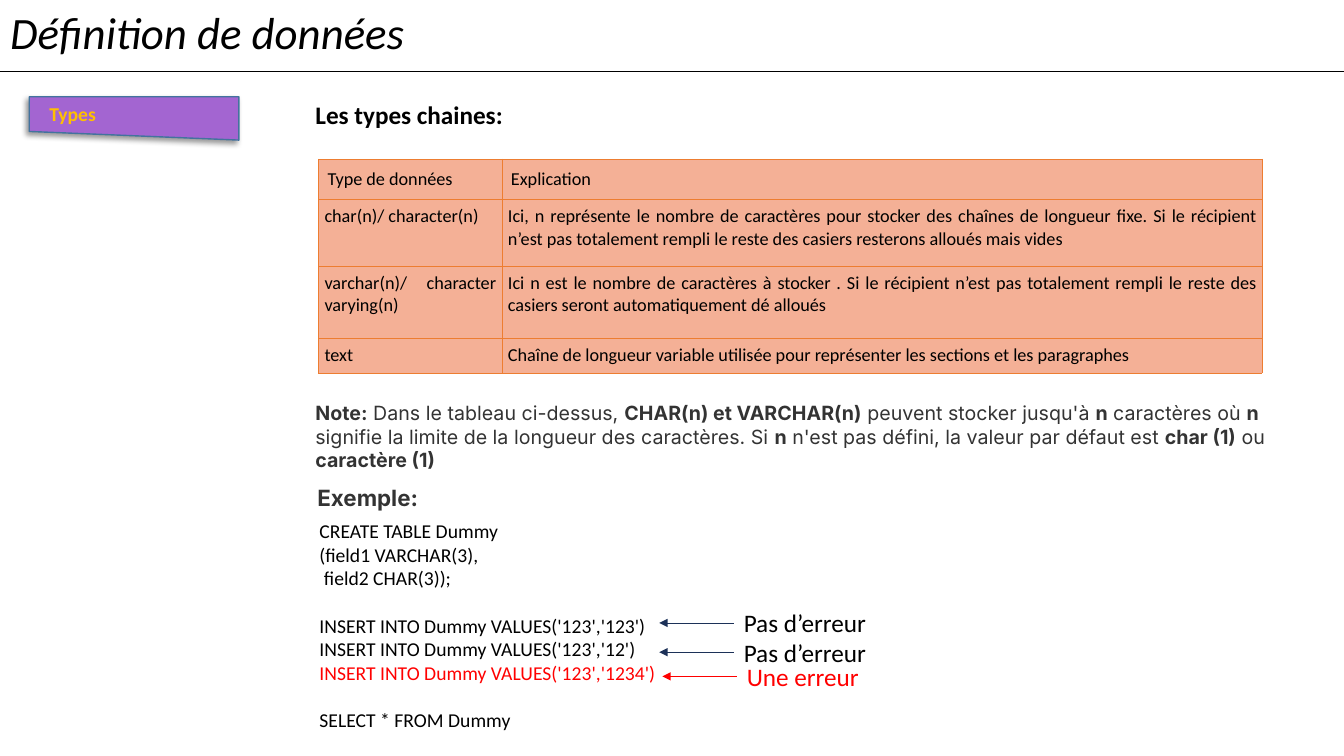
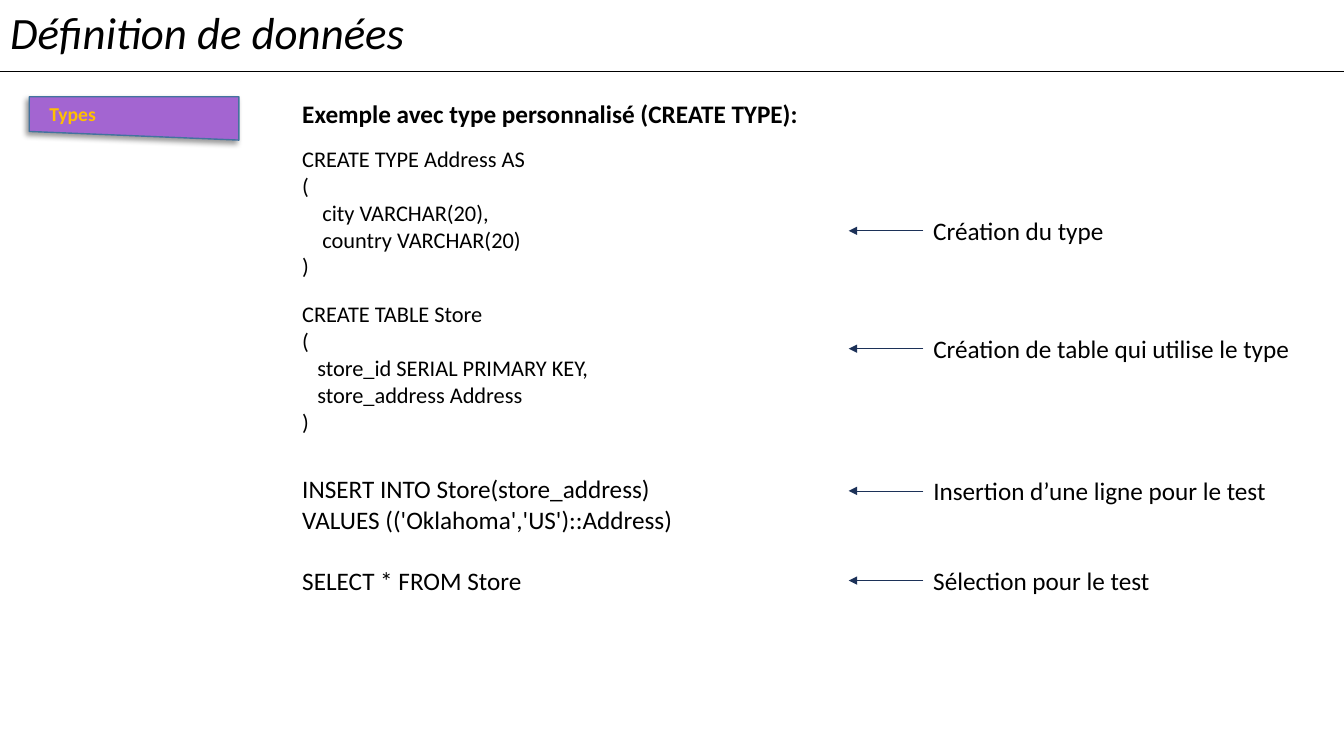
from lxml import etree
from pptx import Presentation
from pptx import util as u
from pptx.dml.color import RGBColor
from pptx.enum import shapes, text
from pptx.oxml.ns import qn

WIDE, HIGH = 13.33, 7.5
BLACK, GREY, RED, GOLD = "000000", "333333", "FF0000", "FFC000"
NAVY, PURPLE, STEEL = "1C3158", "A365D1", "43739E"
PEACH, ORANGE = "F4B096", "ED7D31"
TITLE = "Définition de données"
LABEL_H, ARROW_W = 5.33, 5.55

TYPES = [
    ("Type de données", "Explication"),
    ("char(n)/ character(n)",
     "Ici, n représente le nombre de caractères pour stocker des chaînes de longueur fixe. "
     "Si le récipient n’est pas totalement rempli le reste des casiers resterons alloués mais vides"),
    ("varchar(n)/ character varying(n)",
     "Ici n est le nombre de caractères à stocker . Si le récipient n’est pas totalement rempli "
     "le reste des casiers seront automatiquement dé alloués"),
    ("text",
     "Chaîne de longueur variable utilisée pour représenter les sections et les paragraphes"),
]
NOTE = ("|Note:| Dans le tableau ci-dessus, |CHAR(n) et VARCHAR(n)| peuvent stocker jusqu'à |n"
        "| caractères où |n| signifie la limite de la longueur des caractères. Si |n"
        "| n'est pas défini, la valeur par défaut est |char (1)| ou |caractère (1)")


def x(share):
    """Percent of the slide's width."""
    return u.Inches(WIDE * share / 100)


def y(share):
    """Percent of the slide's height."""
    return u.Inches(HIGH * share / 100)


def area(left, top, wide, high):
    return x(left), y(top), x(wide), y(high)


def rgb(code):
    return RGBColor.from_string(code)


def node(parent, tag, **attrs):
    return etree.SubElement(parent, qn("a:" + tag), attrs)


def write(frame, lines, size=18, font="Calibri", color=BLACK, bold=False,
          italic=False, align=text.PP_ALIGN.LEFT):
    """Write lines; each is text or (text, overrides), and | toggles bold."""
    for i, line in enumerate(lines):
        words, own = (line, {}) if isinstance(line, str) else line
        para = frame.paragraphs[0] if i == 0 else frame.add_paragraph()
        para.alignment = align
        if "gap" in own:
            para.space_before = u.Pt(own["gap"])
        for j, part in enumerate(words.split("|")):
            if not part:
                continue
            run = para.add_run()
            run.text = part
            run.font.size = u.Pt(size)
            run.font.name = font
            run.font.bold = bold != (j % 2 == 1)
            run.font.italic = italic
            run.font.color.rgb = rgb(own.get("color", color))


def label(slide, at, *lines, wrap=False, **form):
    box = slide.shapes.add_textbox(*area(*at))
    frame = box.text_frame
    frame.word_wrap = wrap
    frame.auto_size = text.MSO_AUTO_SIZE.SHAPE_TO_FIT_TEXT
    write(frame, lines, **form)
    return box


def rule(slide, start, end, color, width, head=False):
    line = slide.shapes.add_connector(
        shapes.MSO_CONNECTOR.STRAIGHT, x(start[0]), y(start[1]), x(end[0]), y(end[1]))
    line.line.color.rgb = rgb(color)
    line.line.width = u.Pt(width)
    props = line._element.spPr
    if head:
        node(props.find(qn("a:ln")), "tailEnd", type="triangle")
    node(props, "effectLst")
    return line


def remark(slide, left, mid, wide, words, color=BLACK, ink=NAVY):
    """Add a label with an arrow pointing left from its side."""
    box = label(slide, (left, mid - LABEL_H / 2, wide, LABEL_H), words, color=color)
    arrow = rule(slide, (left, mid), (left - ARROW_W, mid), ink, 0.5, head=True)
    arrow.begin_connect(box, 1)


def tag(slide, words):
    flag = slide.shapes.add_shape(
        shapes.MSO_SHAPE.FLOWCHART_MANUAL_INPUT, *area(2.18, 12.8, 15.6, 5.73))
    flag.rotation = 180
    flag.fill.solid()
    flag.fill.fore_color.rgb = rgb(PURPLE)
    flag.line.color.rgb = rgb(STEEL)
    flag.line.width = u.Pt(1)
    props = flag._element.spPr
    props.find(qn("a:xfrm")).set("flipH", "1")
    shade = node(node(props, "effectLst"), "outerShdw", blurRad=str(u.Pt(4)),
                 dist=str(u.Pt(3)), dir=str(135 * 60000), algn="tr", rotWithShape="0")
    node(node(shade, "srgbClr", val=BLACK), "alpha", val="40000")
    label(slide, (2.93, 12.8, 5.3, 4.53), words, size=14, color=GOLD, bold=True)


def start(deck):
    """Add a slide with the shared title, rule and tag."""
    slide = deck.slides.add_slide(deck.slide_layouts[5])
    title = slide.shapes.title
    title.left, title.top, title.width, title.height = area(0, 0, 31.2, 8.53)
    frame = title.text_frame
    frame.word_wrap = False
    frame.auto_size = text.MSO_AUTO_SIZE.SHAPE_TO_FIT_TEXT
    frame.vertical_anchor = text.MSO_ANCHOR.TOP
    write(frame, [TITLE], size=32, italic=True)
    rule(slide, (0, 9.47), (100, 9.47), BLACK, 1)
    tag(slide, "Types")
    return slide


def edge(cell):
    props = cell._tc.get_or_add_tcPr()
    for side in "LRTB":
        line = node(props, "ln" + side, w=str(u.Pt(0.5)))
        node(node(line, "solidFill"), "srgbClr", val=ORANGE)


def grid(slide, at, cols, rows, data):
    table = slide.shapes.add_table(len(rows), len(cols), *area(*at)).table
    table.first_row = table.horz_banding = False
    for col, wide in zip(table.columns, cols):
        col.width = x(wide)
    for i, (row, high) in enumerate(zip(table.rows, rows)):
        row.height = y(high)
        pad = u.Inches(0.06 if i else 0.09)
        align = text.PP_ALIGN.JUSTIFY if i else text.PP_ALIGN.LEFT
        for cell, words in zip(row.cells, data[i]):
            cell.margin_left = cell.margin_right = pad
            cell.margin_top = cell.margin_bottom = pad
            edge(cell)
            cell.fill.solid()
            cell.fill.fore_color.rgb = rgb(PEACH)
            write(cell.text_frame, [words], size=13, align=align)


def strings(deck):
    slide = start(deck)
    label(slide, (22.73, 12.53, 72.2, LABEL_H), "Les types chaines:", wrap=True, bold=True)
    grid(slide, (23.7, 21.07, 70.2, 28.26), (13.65, 56.55), (5.33, 8.8, 9.6, 4.53), TYPES)
    label(slide, (22.73, 52.4, 72.2, 10.8), NOTE,
          wrap=True, size=14, font="Inter", color=GREY)
    label(slide, (23.03, 68, 35.1, 29.6),
          "CREATE TABLE Dummy",
          "(field1 VARCHAR(3),",
          " field2 CHAR(3));",
          ("INSERT INTO Dummy VALUES('123','123')", {"gap": 17}),
          "INSERT INTO Dummy VALUES('123','12')",
          ("INSERT INTO Dummy VALUES('123','1234')", {"color": RED}),
          ("SELECT * FROM Dummy", {"gap": 17}),
          wrap=True, size=14)
    for mid in (82.4, 86.27):
        remark(slide, 54.6, mid, 10.8, "Pas d’erreur")
    remark(slide, 54.83, 89.47, 9.98, "Une erreur", color=RED, ink=RED)
    label(slide, (22.88, 63.33, 9.45, 4.93), "Exemple:",
          size=16, font="Inter", color=GREY, bold=True)


def custom(deck):
    slide = start(deck)
    left = 21.75
    label(slide, (left, 12.4, 39.1, LABEL_H),
          "Exemple avec type personnalisé (CREATE TYPE):", bold=True)
    label(slide, (left, 18.53, 22.8, 19.73),
          "CREATE TYPE Address AS",
          "(",
          "    city VARCHAR(20),",
          "    country VARCHAR(20)",
          ")", wrap=True, size=16)
    label(slide, (left, 39.07, 28.5, 19.73),
          "CREATE TABLE Store",
          "(",
          "   store_id SERIAL PRIMARY KEY,",
          "   store_address Address",
          ")", wrap=True, size=16)
    label(slide, (left, 62, 65.7, 17.47),
          "INSERT INTO Store(store_address)",
          "VALUES (('Oklahoma','US')::Address)",
          ("SELECT * FROM Store", {"gap": 22}), wrap=True)
    for mid, wide, words in (
            (30.53, 14.33, "Création du type"),
            (46.13, 28.35, "Création de table qui utilise le type"),
            (64.93, 26.55, "Insertion d’une ligne pour le test"),
            (76.8, 17.85, "Sélection pour le test")):
        remark(slide, 68.7, mid, wide, words)


def main():
    deck = Presentation()
    deck.slide_width, deck.slide_height = u.Inches(WIDE), u.Inches(HIGH)
    strings(deck)
    custom(deck)
    deck.save("out.pptx")


if __name__ == "__main__":
    main()
